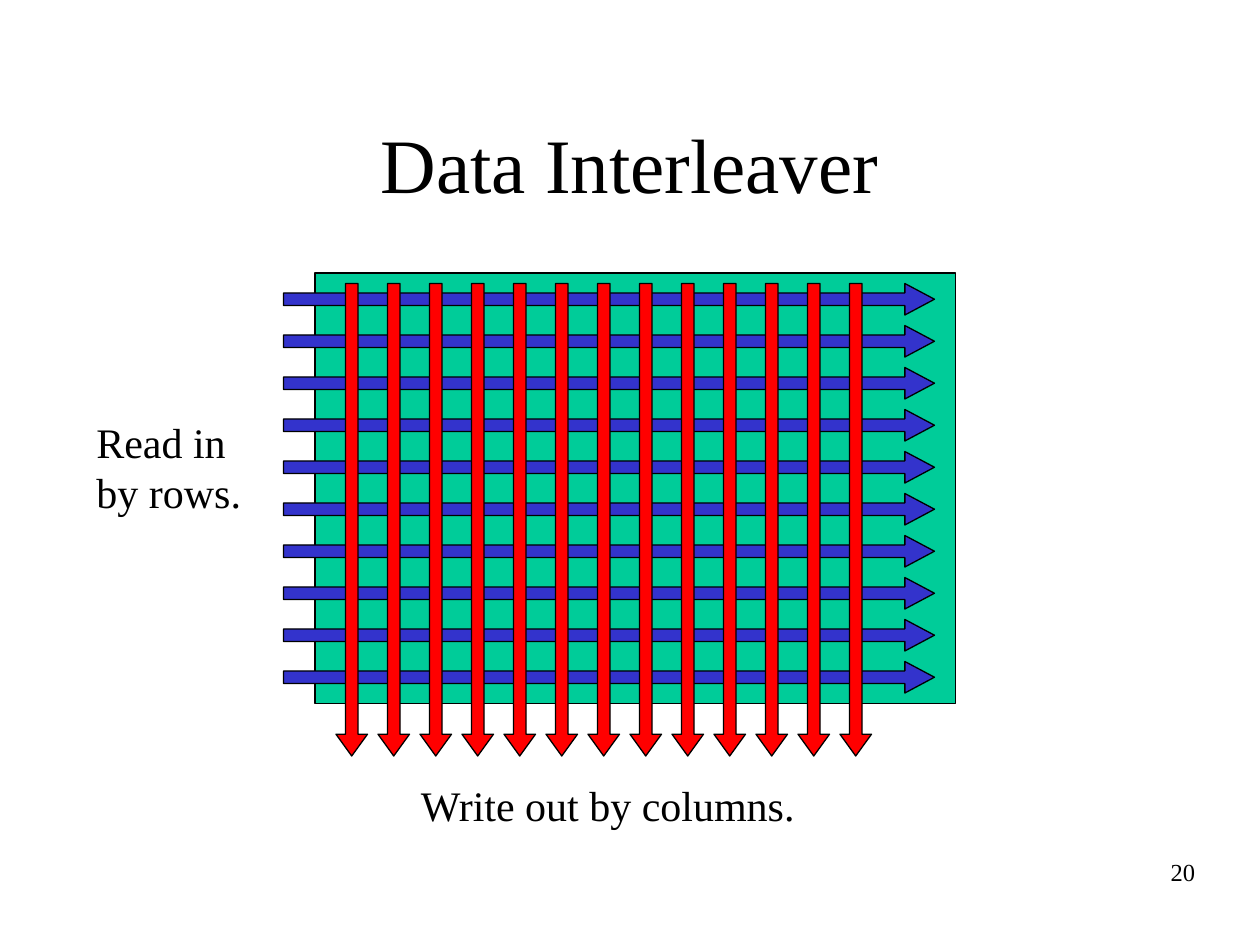
from dataclasses import dataclass

from pptx import Presentation
from pptx.dml.color import RGBColor
from pptx.enum.shapes import MSO_SHAPE as Shape
from pptx.enum.text import MSO_ANCHOR as Anchor, PP_ALIGN as Align
from pptx.util import Emu, Pt

EMU_PER_PX = 7620  # 120 px to the inch
TITLE_ONLY = 5


@dataclass(frozen=True)
class Theme:
    font: str = "Times New Roman"
    ink: RGBColor = RGBColor(0, 0, 0)
    block: RGBColor = RGBColor(0x00, 0xCC, 0x99)
    row: RGBColor = RGBColor(0x33, 0x33, 0xCC)
    column: RGBColor = RGBColor(0xFF, 0, 0)
    title: Pt = Pt(44)
    label: Pt = Pt(24)
    label_leading: Pt = Pt(29)
    number: Pt = Pt(14)
    outline: Pt = Pt(0.75)


THEME = Theme()


def px(*values):
    return [Emu(v * EMU_PER_PX) for v in values]


def set_text(tf, text, size, align=Align.LEFT, leading=None):
    tf.text = text
    for p in tf.paragraphs:
        p.alignment = align
        if leading:
            p.line_spacing = leading
        for r in p.runs:
            r.font.name = THEME.font
            r.font.size = size
            r.font.color.rgb = THEME.ink


def set_title(s, text, box):
    sp = s.shapes.title
    sp.left, sp.top, sp.width, sp.height = px(*box)
    sp.text_frame.vertical_anchor = Anchor.MIDDLE
    set_text(sp.text_frame, text, THEME.title, Align.CENTER)


def add_text(s, text, box, size, wrap=False, **style):
    tf = s.shapes.add_textbox(*px(*box)).text_frame
    tf.word_wrap = wrap
    set_text(tf, text, size, **style)


def add_solid(shapes, kind, box, fill):
    sp = shapes.add_shape(kind, *px(*box))
    sp.shadow.inherit = False
    sp.fill.solid()
    sp.fill.fore_color.rgb = fill
    sp.line.color.rgb = THEME.ink
    sp.line.width = THEME.outline
    return sp


def add_arrows(s, kind, count, box, step, fill, head):
    """Add a group of equal arrows, each moved by step from the one before."""
    shapes = s.shapes.add_group_shape().shapes
    x, y, w, h = box
    dx, dy = step
    for i in range(count):
        sp = add_solid(shapes, kind, (x + i * dx, y + i * dy, w, h), fill)
        sp.adjustments[0] = 0.4
        sp.adjustments[1] = head


def main():
    prs = Presentation()
    prs.slide_width, prs.slide_height = px(1200, 900)
    s = prs.slides.add_slide(prs.slide_layouts[TITLE_ONLY])
    set_title(s, "Data Interleaver", (90, 80, 1020, 150))

    # Memory block, crossed by rows read in and columns written out
    add_solid(s.shapes, Shape.RECTANGLE, (300, 260, 610, 410), THEME.block)
    add_arrows(s, Shape.RIGHT_ARROW, 10, (270, 270, 620, 30), (0, 40),
               THEME.row, head=0.94)
    add_arrows(s, Shape.DOWN_ARROW, 13, (320, 270, 30, 450), (40, 0),
               THEME.column, head=0.69)

    # Labels and slide number
    add_text(s, "Read in\nby rows.", (80, 390, 162, 108), THEME.label,
             leading=THEME.label_leading)
    add_text(s, "Write out by columns.", (389, 736, 382, 60), THEME.label,
             leading=THEME.label_leading)
    add_text(s, "20", (900, 810, 250, 60), THEME.number, wrap=True,
             align=Align.RIGHT)

    prs.save("out.pptx")


if __name__ == "__main__":
    main()
